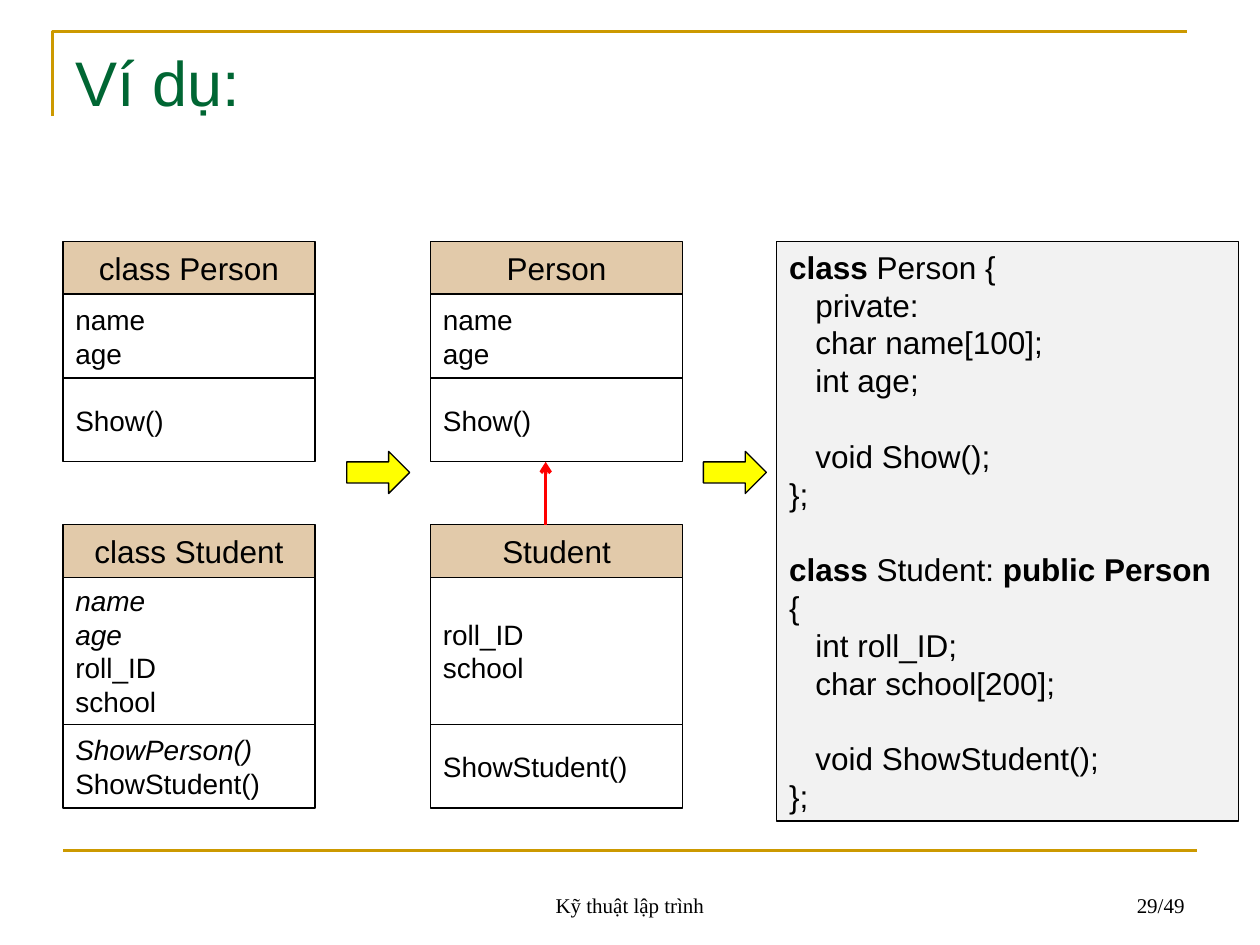
from dataclasses import dataclass

from lxml import etree
from pptx import Presentation
from pptx.dml.color import RGBColor
from pptx.enum.shapes import MSO_CONNECTOR, MSO_SHAPE
from pptx.enum.text import MSO_ANCHOR, PP_ALIGN
from pptx.oxml.ns import qn
from pptx.util import Cm, Pt

RECT, ARROW = MSO_SHAPE.RECTANGLE, MSO_SHAPE.RIGHT_ARROW
STRAIGHT = MSO_CONNECTOR.STRAIGHT
LEFT, CENTER, RIGHT = PP_ALIGN.LEFT, PP_ALIGN.CENTER, PP_ALIGN.RIGHT
TOP, MIDDLE, BOTTOM = MSO_ANCHOR.TOP, MSO_ANCHOR.MIDDLE, MSO_ANCHOR.BOTTOM

COLORS = {
    "gold": "CC9900", "green": "006633", "black": "000000", "white": "FFFFFF",
    "tan": "E2CAAA", "grey": "F2F2F2", "yellow": "FFFF00", "red": "FF0000",
}
COLUMN_W, HEADER_H, METHODS_H = 5.08, 1.06, 1.69
LEFT_X, MIDDLE_X = 1.27, 8.68
PERSON_Y, STUDENT_Y = 4.87, 10.58
PERSON_FIELDS_H, STUDENT_FIELDS_H = 1.69, 2.96
CODE_LINE = 21.6


@dataclass
class Label:
    text: str
    x: float
    y: float
    w: float
    h: float
    size: float
    font: str
    color: str
    align: PP_ALIGN
    anchor: MSO_ANCHOR


@dataclass
class ClassBox:
    name: str
    x: float
    y: float
    fields_h: float
    fields: list[str]
    methods: list[str]
    inherited: tuple[str, ...] = ()


@dataclass
class CodeLine:
    spans: list[tuple[str, bool]]
    indented: bool = False
    gap: bool = False


LABELS = [
    Label("Ví dụ:", 1.27, 0.76, 22.86, 3.18, 36, "Arial", "green", LEFT, TOP),
    Label("Kỹ thuật lập trình", 8.68, 17.36, 8.04, 1.27, 12, "Times New Roman",
          "black", CENTER, BOTTOM),
    Label("29/49", 18.2, 17.36, 5.93, 1.27, 12, "Times New Roman",
          "black", RIGHT, BOTTOM),
]
CLASSES = [
    ClassBox("class Person", LEFT_X, PERSON_Y, PERSON_FIELDS_H,
             ["name", "age"], ["Show()"]),
    ClassBox("class Student", LEFT_X, STUDENT_Y, STUDENT_FIELDS_H,
             ["name", "age", "roll_ID", "school"],
             ["ShowPerson()", "ShowStudent()"], ("name", "age", "ShowPerson()")),
    ClassBox("Person", MIDDLE_X, PERSON_Y, PERSON_FIELDS_H,
             ["name", "age"], ["Show()"]),
    ClassBox("Student", MIDDLE_X, STUDENT_Y, STUDENT_FIELDS_H,
             ["roll_ID", "school"], ["ShowStudent()"]),
]
CODE = [
    CodeLine([("class", True), (" Person {", False)]),
    CodeLine([("private:", False)], indented=True),
    CodeLine([("char name[100];", False)], indented=True),
    CodeLine([("int age;", False)], indented=True),
    CodeLine([("void Show();", False)], indented=True, gap=True),
    CodeLine([("};", False)]),
    CodeLine([("class", True), (" Student: ", False), ("public Person", True),
              (" {", False)], gap=True),
    CodeLine([("int roll_ID;", False)], indented=True),
    CodeLine([("char school[200];", False)], indented=True),
    CodeLine([("void ShowStudent();", False)], indented=True, gap=True),
    CodeLine([("};", False)]),
]


def rgb(name: str) -> RGBColor:
    return RGBColor.from_string(COLORS[name])


def style_run(r, size: float, font: str = "Arial", color: str = "black") -> None:
    r.font.size = Pt(size)
    r.font.name = font
    r.font.color.rgb = rgb(color)


def add_label(s, label: Label) -> None:
    sp = s.shapes.add_textbox(Cm(label.x), Cm(label.y), Cm(label.w), Cm(label.h))
    tf = sp.text_frame
    tf.word_wrap = True
    tf.vertical_anchor = label.anchor
    tf.text = label.text
    p = tf.paragraphs[0]
    p.alignment = label.align
    style_run(p.runs[0], label.size, label.font, label.color)


def add_filled(s, kind, x: float, y: float, w: float, h: float, fill: str):
    sp = s.shapes.add_shape(kind, Cm(x), Cm(y), Cm(w), Cm(h))
    sp.shadow.inherit = False
    sp.fill.solid()
    sp.fill.fore_color.rgb = rgb(fill)
    sp.line.color.rgb = rgb("black")
    sp.line.width = Pt(0.75)
    return sp


def add_class(s, box: ClassBox) -> None:
    y = box.y
    parts = [
        ([box.name], HEADER_H, "tan", 18, CENTER),
        (box.fields, box.fields_h, "white", 16, LEFT),
        (box.methods, METHODS_H, "white", 16, LEFT),
    ]
    for lines, h, fill, size, align in parts:
        tf = add_filled(s, RECT, box.x, y, COLUMN_W, h, fill).text_frame
        tf.word_wrap = False
        tf.vertical_anchor = MIDDLE
        tf.text = "\n".join(lines)
        for p in tf.paragraphs:
            p.alignment = align
            p.line_spacing = Pt(size * 1.2)
            for r in p.runs:
                style_run(r, size)
                r.font.italic = r.text in box.inherited
        y += h


def add_code(s) -> None:
    tf = add_filled(s, RECT, 15.66, PERSON_Y, 9.31, 11.68, "grey").text_frame
    tf.word_wrap = True
    tf.vertical_anchor = TOP
    for i, line in enumerate(CODE):
        p = tf.add_paragraph() if i else tf.paragraphs[0]
        p.alignment = LEFT
        p.line_spacing = Pt(CODE_LINE)
        p.space_before = Pt(CODE_LINE if line.gap else 0)
        if line.indented:
            p._p.get_or_add_pPr().set("marL", str(Cm(0.53)))
        for text, bold in line.spans:
            r = p.add_run()
            r.text = text
            style_run(r, 18)
            r.font.bold = bold


def add_line(s, x1: float, y1: float, x2: float, y2: float, color: str,
             width: float, arrow: bool = False) -> None:
    sp = s.shapes.add_connector(STRAIGHT, Cm(x1), Cm(y1), Cm(x2), Cm(y2))
    sp.line.color.rgb = rgb(color)
    sp.line.width = Pt(width)
    if arrow:
        etree.SubElement(sp.line._get_or_add_ln(), qn("a:tailEnd"), type="arrow")
    etree.SubElement(sp._element.spPr, qn("a:effectLst"))


def add_corner(s) -> None:
    builder = s.shapes.build_freeform(Cm(1.06), Cm(2.34))
    builder.add_line_segments(
        [(Cm(1.06), Cm(0.64)), (Cm(23.92), Cm(0.64))], close=False)
    sp = builder.convert_to_shape()
    sp.shadow.inherit = False
    sp.fill.background()
    sp.line.color.rgb = rgb("gold")
    sp.line.width = Pt(1.5)


prs = Presentation()
prs.slide_width, prs.slide_height = Cm(25.4), Cm(19.05)
s = prs.slides.add_slide(prs.slide_layouts[6])
add_corner(s)
add_line(s, 1.27, 17.15, 24.13, 17.15, "gold", 1.5)
for label in LABELS:
    add_label(s, label)
for box in CLASSES:
    add_class(s, box)
add_line(s, 11, STUDENT_Y, 11, 9.31, "red", 2, arrow=True)
add_code(s)
for x in (6.99, 14.18):
    add_filled(s, ARROW, x, 9.1, 1.27, 0.85, "yellow")
prs.save("out.pptx")
